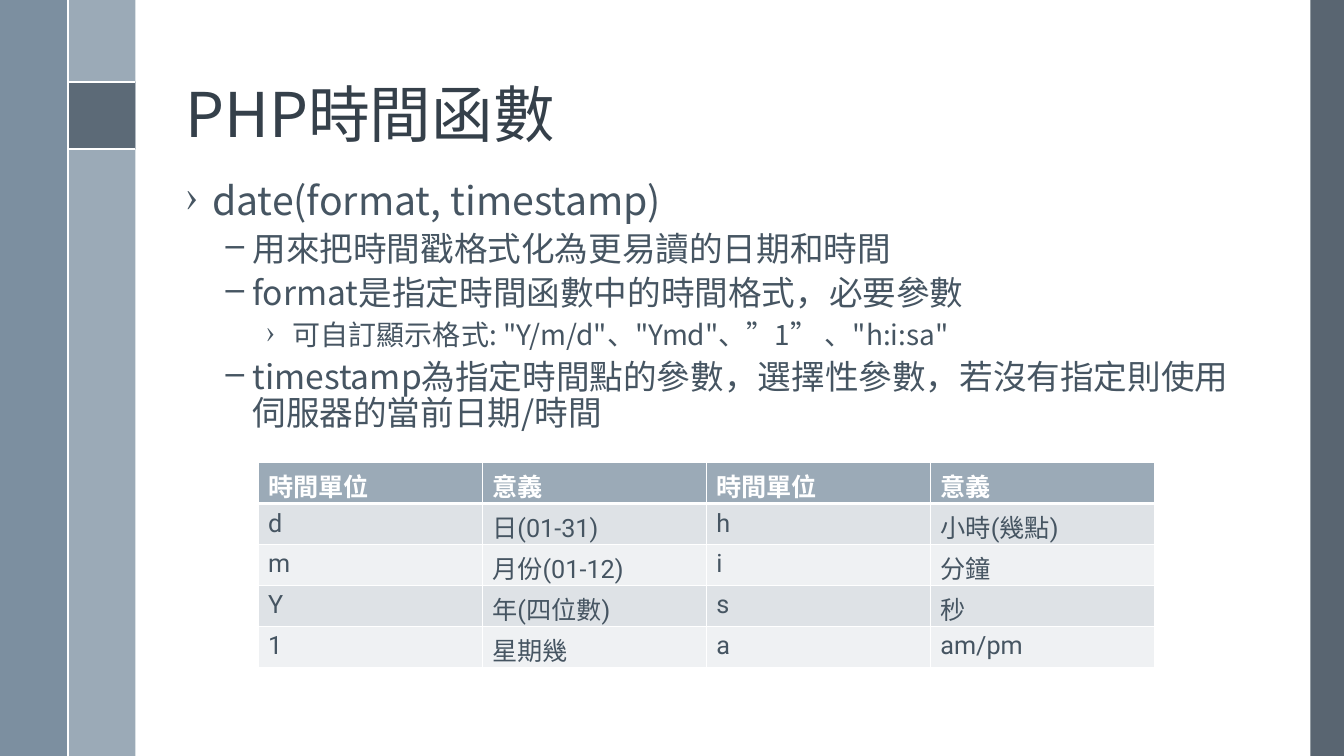
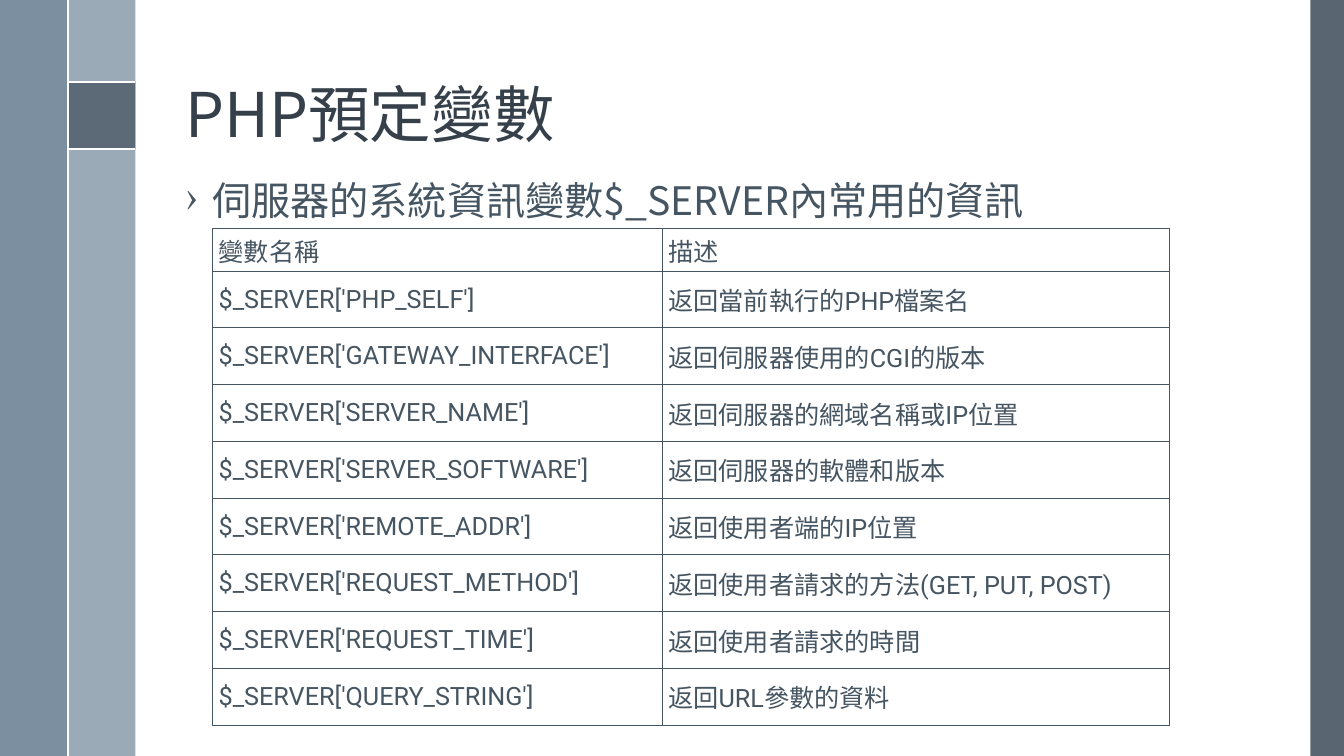
from lxml import etree
from pptx import Presentation
from pptx.dml.color import RGBColor
from pptx.enum.shapes import MSO_CONNECTOR, MSO_SHAPE
from pptx.enum.text import MSO_ANCHOR
from pptx.oxml.ns import qn
from pptx.util import Emu, Pt

RECT, LINE = MSO_SHAPE.RECTANGLE, MSO_CONNECTOR.STRAIGHT
TOP, MID, LOW = MSO_ANCHOR.TOP, MSO_ANCHOR.MIDDLE, MSO_ANCHOR.BOTTOM

# The slide is a grid of 40 columns by 22.5 rows of square units.
UNIT, COLS, ROWS = 304800, 40, 22.5
HEX = {"dark": "475562", "pale": "9BAAB7", "blue": "6A8093", "white": "FFFFFF",
       "title": "35404A", "text": "465562", "odd": "DEE2E6", "even": "EFF1F3"}
SANS, BODY = "Noto Sans CJK TC", "Roboto"

TITLE = (5.22, 0.57, 32.1, 4.08)
MAIN = (5.22, 5.25, 32.1, 15)
# Per level: bullet, size, space before, left indent
LEVELS = [("›", 28, 14, 0.8), ("–", 24, 6, 2), ("›", 20, 6, 3.2)]

DATE = [
    (0, "date(format, timestamp)"),
    (1, "用來把時間戳格式化為更易讀的日期和時間"),
    (1, "format是指定時間函數中的時間格式，必要參數"),
    (2, "可自訂顯示格式: \"Y/m/d\"、\"Ymd\"、”1” 、\"h:i:sa\""),
    (1, "timestamp為指定時間點的參數，選擇性參數，若沒有指定則使用伺服器的當前日期/時間"),
]
PARTS = [
    ("時間單位", "意義", "時間單位", "意義"),
    ("d", "日(01-31)", "h", "小時(幾點)"),
    ("m", "月份(01-12)", "i", "分鐘"),
    ("Y", "年(四位數)", "s", "秒"),
    ("1", "星期幾", "a", "am/pm"),
]
SERVER = [(0, "伺服器的系統資訊變數$_SERVER內常用的資訊")]
VARS = [
    ("變數名稱", "描述"),
    ("$_SERVER['PHP_SELF']", "返回當前執行的PHP檔案名"),
    ("$_SERVER['GATEWAY_INTERFACE']", "返回伺服器使用的CGI的版本"),
    ("$_SERVER['SERVER_NAME']", "返回伺服器的網域名稱或IP位置"),
    ("$_SERVER['SERVER_SOFTWARE']", "返回伺服器的軟體和版本"),
    ("$_SERVER['REMOTE_ADDR']", "返回使用者端的IP位置"),
    ("$_SERVER['REQUEST_METHOD']", "返回使用者請求的方法(GET, PUT, POST)"),
    ("$_SERVER['REQUEST_TIME']", "返回使用者請求的時間"),
    ("$_SERVER['QUERY_STRING']", "返回URL參數的資料"),
]


def grid(*vals):
    return [Emu(round(v * UNIT)) for v in vals]


def rgb(name):
    return RGBColor.from_string(HEX[name])


def write(para, text, size, color, font=SANS, bold=False):
    run = para.add_run()
    run.text = text
    run.font.color.rgb = rgb(color)
    for key, val in {"size": Pt(size), "name": font, "bold": bold}.items():
        setattr(run.font, key, val)
    east = etree.SubElement(run.font._element, qn("a:ea"))
    east.set("typeface", SANS)


def frame(slide, box, anchor):
    text = slide.shapes.add_textbox(*grid(*box)).text_frame
    text.word_wrap = True
    text.vertical_anchor = anchor
    return text


def block(slide, box, color, alpha=100):
    shape = slide.shapes.add_shape(RECT, *grid(*box))
    shape.shadow.inherit = False
    shape.line.fill.background()
    shape.fill.solid()
    shape.fill.fore_color.rgb = rgb(color)
    if alpha < 100:
        tone = shape._element.spPr.find(".//" + qn("a:srgbClr"))
        etree.SubElement(tone, qn("a:alpha")).set("val", str(alpha * 1000))


def rule(slide, *ends):
    line = slide.shapes.add_connector(LINE, *grid(*ends))
    line.line.color.rgb = rgb("white")
    line.line.width = Pt(1.5)
    etree.SubElement(line._element.spPr, qn("a:effectLst"))


def bands(slide):
    """Draw the side bands with their square and dividing lines."""
    left, top, side = 2.03, 2.43, 2
    block(slide, (COLS - 1, 0, 1, ROWS), "dark", 90)
    block(slide, (left, 0, side, ROWS), "pale")
    block(slide, (0, 0, side, ROWS), "blue", 88)
    block(slide, (left, top, side, side), "dark", 75)
    for y in (top, top + side):
        rule(slide, left, y, left + side, y)
    rule(slide, left, 0, left, ROWS)


def outline(slide, box, items):
    text = frame(slide, box, TOP)
    for num, (level, words) in enumerate(items):
        para = text.add_paragraph() if num else text.paragraphs[0]
        mark, size, gap, left = LEVELS[level]
        para.level = level
        para.line_spacing = 0.9
        para.space_before = Pt(gap if num else 0)
        props = para._p.get_or_add_pPr()
        props.set("marL", str(grid(left)[0]))
        props.set("indent", str(grid(-0.8)[0]))
        etree.SubElement(props, qn("a:buChar")).set("char", mark)
        write(para, words, size, "text")


def border(cell, color, low=1):
    """Line all four sides; low is the width of the lower one."""
    props = cell._tc.get_or_add_tcPr()
    for spot, (side, width) in enumerate(zip("LRTB", (1, 1, 1, low))):
        line = etree.Element(qn("a:ln" + side), w=str(Pt(width)))
        fill = etree.SubElement(line, qn("a:solidFill"))
        etree.SubElement(fill, qn("a:srgbClr")).set("val", HEX[color])
        props.insert(spot, line)


def table(slide, spot, rows, widths, heights, style):
    size = sum(widths), sum(heights)
    made = slide.shapes.add_table(len(rows), len(widths), *grid(*spot, *size)).table
    for parts, key, vals in ((made.columns, "width", widths),
                             (made.rows, "height", heights)):
        for part, val in zip(parts, grid(*vals)):
            setattr(part, key, val)
    wide, tall = grid(*style["pad"])
    form = {"margin_left": wide, "margin_right": wide, "margin_top": tall,
            "margin_bottom": tall, "vertical_anchor": style["anchor"]}
    for r, row in enumerate(rows):
        head = r == 0
        fill = style["head"] if head else style["fills"][(r - 1) % 2]
        for c, words in enumerate(row):
            cell = made.cell(r, c)
            for key, val in form.items():
                setattr(cell, key, val)
            cell.fill.solid()
            cell.fill.fore_color.rgb = rgb(fill)
            border(cell, style["line"], style["low"] if head else 1)
            write(cell.text_frame.paragraphs[0], words, 18,
                  style["ink"] if head else "text", BODY, head and style["bold"])


BANDED = {"head": "pale", "fills": ("odd", "even"), "line": "white", "low": 3,
          "ink": "white", "bold": True, "pad": (0.3, 0.15), "anchor": TOP}
RULED = {"head": "white", "fills": ("white", "white"), "line": "text", "low": 1,
         "ink": "text", "bold": False, "pad": (0.18, 0.09), "anchor": MID}


def page(deck, title, items):
    slide = deck.slides.add_slide(deck.slide_layouts[6])
    bands(slide)
    para = frame(slide, TITLE, LOW).paragraphs[0]
    para.line_spacing = 0.9
    write(para, title, 44, "title")
    outline(slide, MAIN, items)
    return slide


def main():
    deck = Presentation()
    deck.slide_width, deck.slide_height = grid(COLS, ROWS)
    slide = page(deck, "PHP時間函數", DATE)
    table(slide, (7.68, 13.77), PARTS, [6.67] * 4, [1.22] * 5, BANDED)
    slide = page(deck, "PHP預定變數", SERVER)
    table(slide, (6.33, 6.81), VARS, [13.38, 15.09], [1.26] + [1.69] * 8, RULED)
    deck.save("out.pptx")


if __name__ == "__main__":
    main()
